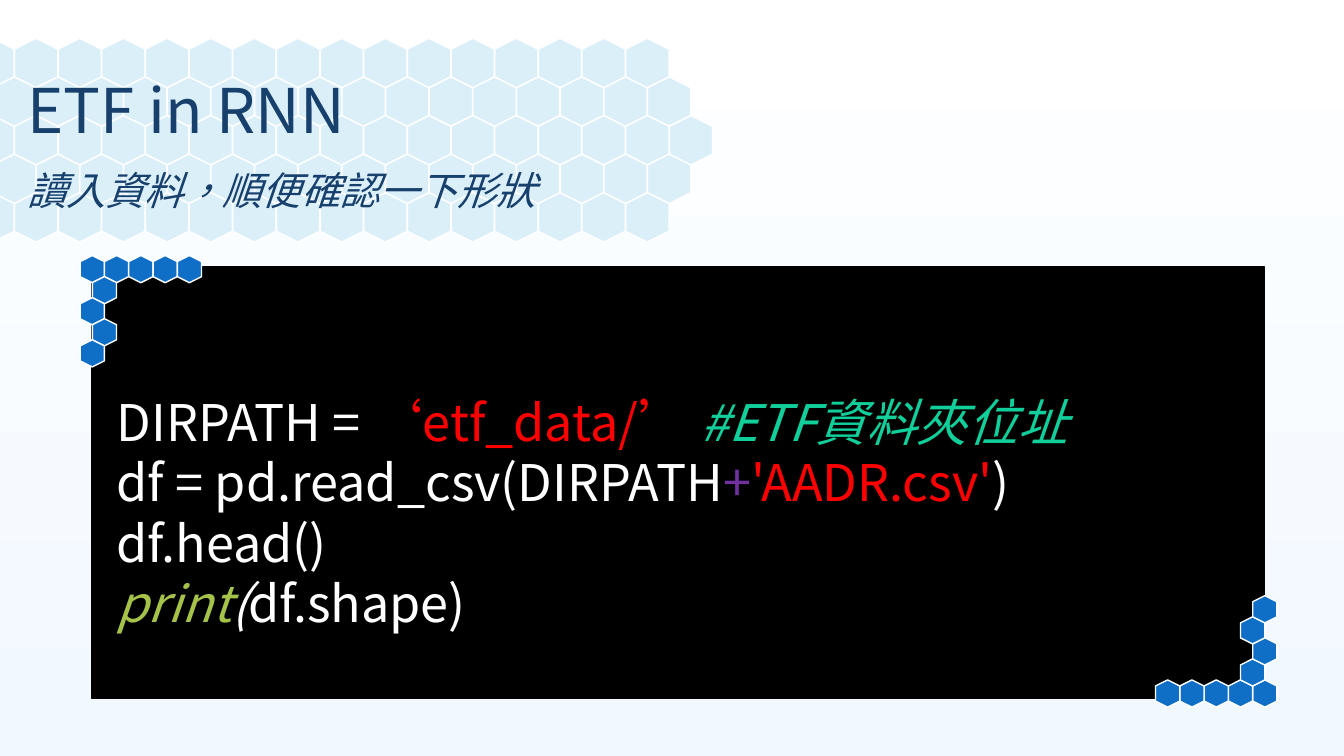
from pptx import Presentation
from pptx import util as u
from pptx.dml.color import RGBColor
from pptx.enum import shapes, text
from pptx.oxml.ns import qn

FONT = "Noto Sans CJK SC"
WHITE = RGBColor(255, 255, 255)
MIST = RGBColor(0xF1, 0xF8, 0xFE)
BLACK = RGBColor(0, 0, 0)
BLUE = RGBColor(0x0F, 0x6F, 0xC6)
PALE = RGBColor(0xDB, 0xEF, 0xF9)
NAVY = RGBColor(0x17, 0x40, 0x6D)
RED = RGBColor(255, 0, 0)
GREEN = RGBColor(0x10, 0xCF, 0x9B)
PURPLE = RGBColor(0x70, 0x30, 0xA0)
LIME = RGBColor(0xA5, 0xC2, 0x49)

# Each run: wording, colour, italic
CODE = [
    [("DIRPATH = ", WHITE, False), ("‘etf_data/’ ", RED, False),
     ("#ETF資料夾位址", GREEN, True)],
    [("df = pd.read_csv(DIRPATH", WHITE, False), ("+", PURPLE, False),
     ("'AADR.csv'", RED, False), (")", WHITE, False)],
    [("df.head()", WHITE, False)],
    [("print", LIME, True), ("(", WHITE, True), ("df.shape)", WHITE, False)],
]


def place(shape, box):
    shape.left, shape.top, shape.width, shape.height = map(u.Inches, box)


def style(run, size, color, italic=False):
    """Format a run, with one font for Latin and Chinese."""
    font = run.font
    font.name, font.size, font.italic = FONT, u.Pt(size), italic
    font.color.rgb = color
    props = run._r.get_or_add_rPr()
    props.set("lang", "zh-TW")
    east = props.makeelement(qn("a:ea"), {"typeface": FONT})
    props.find(qn("a:latin")).addnext(east)


def block(slide, kind, box, fill, line, turn=0):
    shape = slide.shapes.add_shape(kind, *map(u.Inches, box))
    shape.shadow.inherit = False
    shape.fill.solid()
    shape.fill.fore_color.rgb = fill
    shape.line.color.rgb = line
    shape.line.width = u.Pt(1)
    shape.rotation = turn


def cell(slide, box, fill, turn=90):
    block(slide, shapes.MSO_SHAPE.HEXAGON, box, fill, WHITE, turn)


def corner(slide, left, top, way):
    """Draw an L of hexagons from its corner; way is 1 or -1."""
    spots = [(col, 0) for col in range(5)]
    spots += [(row % 2 / 2, row) for row in range(1, 5)]
    for col, row in spots:
        box = (left + way * col * 0.241, top + way * row * 0.209, 0.27, 0.24)
        cell(slide, box, BLUE, 90 if way > 0 else 270)


def panel(slide, box):
    left, top, width, height = box
    block(slide, shapes.MSO_SHAPE.RECTANGLE, box, BLACK, BLACK)
    corner(slide, left - 0.13, top - 0.1, 1)
    corner(slide, left + width - 0.13, top + height - 0.17, -1)


def comb(slide, left, top):
    for row, count in enumerate((16, 16, 17, 16, 16)):
        for col in range(count):
            x = left + (col + row % 2 / 2) * 0.433
            cell(slide, (x, top + row * 0.383, 0.49, 0.43), PALE)


def heading(shape, box, words, size, italic=False):
    place(shape, box)
    frame = shape.text_frame
    frame.text = words
    frame.word_wrap = True
    frame.auto_size = text.MSO_AUTO_SIZE.NONE
    frame.vertical_anchor = text.MSO_ANCHOR.MIDDLE
    para = frame.paragraphs[0]
    para.alignment = text.PP_ALIGN.LEFT
    para.line_spacing = 0.9
    style(para.runs[0], size, NAVY, italic)


def listing(slide, box):
    frame = slide.shapes.add_textbox(*map(u.Inches, box)).text_frame
    frame.word_wrap = True
    frame.auto_size = text.MSO_AUTO_SIZE.SHAPE_TO_FIT_TEXT
    for row, parts in enumerate(CODE):
        para = frame.add_paragraph() if row else frame.paragraphs[0]
        for words, color, italic in parts:
            run = para.add_run()
            run.text = words
            style(run, 36, color, italic)


def main():
    deck = Presentation()
    deck.slide_width, deck.slide_height = u.Inches(13.33), u.Inches(7.5)
    slide = deck.slides.add_slide(deck.slide_layouts[5])
    fill = slide.background.fill
    fill.gradient()
    fill.gradient_angle = 270
    for stop, color, spot in zip(fill.gradient_stops, (WHITE, MIST), (0, 1)):
        stop.color.rgb = color
        stop.position = spot
    panel(slide, (0.91, 2.65, 11.63, 4.28))
    comb(slide, -0.32, 0.41)
    title = slide.shapes.title
    slide.shapes._spTree.append(title._element)
    heading(title, (0.17, 0.67, 6.04, 0.92), "ETF in RNN", 44)
    note = slide.shapes.add_textbox(0, 0, 0, 0)
    heading(note, (0.17, 1.59, 6.94, 0.64), "讀入資料，順便確認一下形狀", 28, True)
    listing(slide, (1.06, 3.83, 12.27, 2.52))
    deck.save("out.pptx")


if __name__ == "__main__":
    main()
